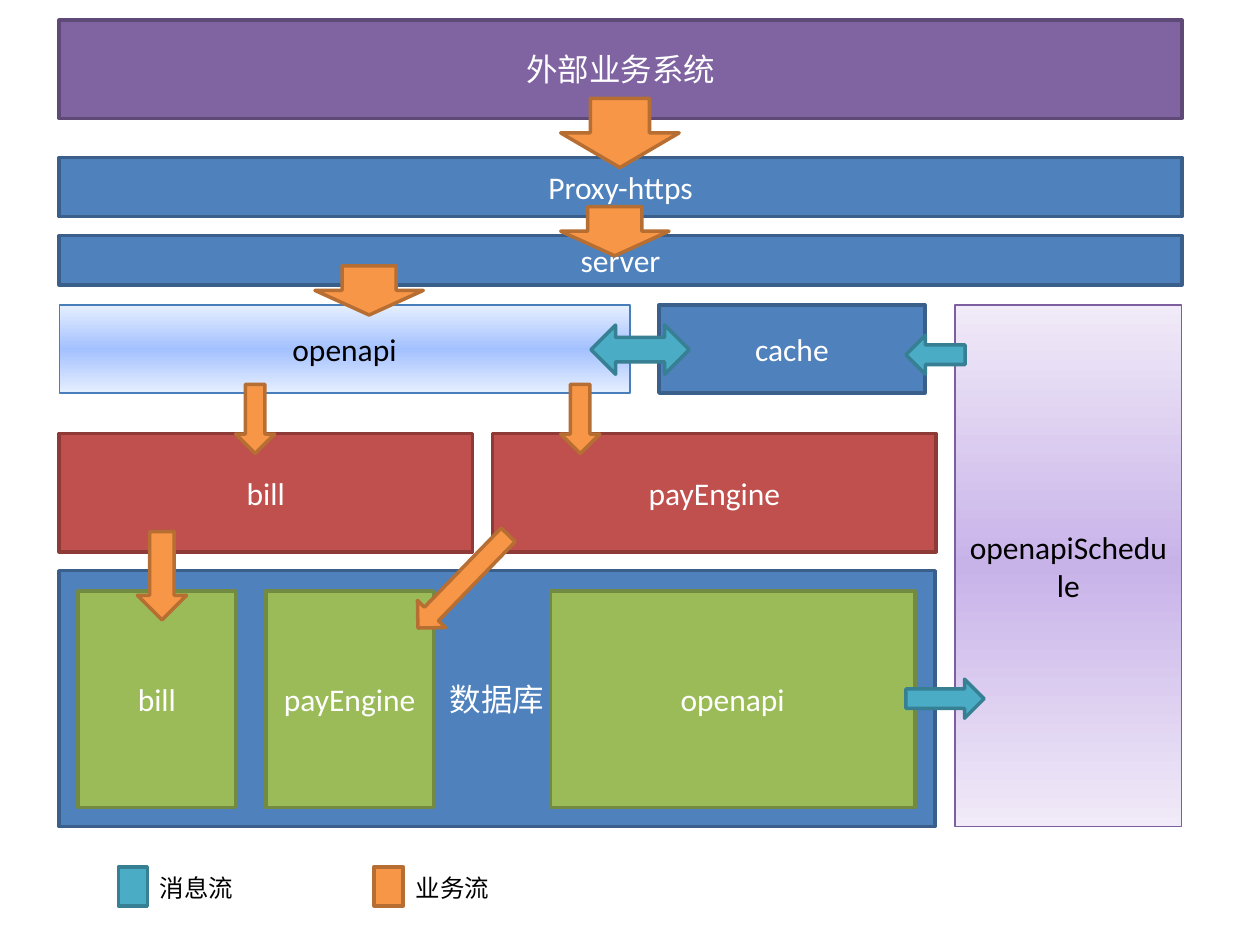
"""Build a payment platform architecture slide with message and business flows."""
from copy import deepcopy

from pptx import Presentation
from pptx.dml.color import RGBColor
from pptx.enum import shapes, text
from pptx.oxml.ns import qn
from pptx.util import Inches, Pt

WHITE = RGBColor(0xFF, 0xFF, 0xFF)
BLACK = RGBColor(0x00, 0x00, 0x00)
PURPLE = (RGBColor(0x80, 0x64, 0xA2), RGBColor(0x5E, 0x49, 0x77))
BLUE = (RGBColor(0x4F, 0x81, 0xBD), RGBColor(0x3A, 0x5F, 0x8B))
RED = (RGBColor(0xC0, 0x50, 0x4D), RGBColor(0x8E, 0x3B, 0x38))
GREEN = (RGBColor(0x9B, 0xBB, 0x59), RGBColor(0x72, 0x8A, 0x41))
TEAL = (RGBColor(0x4B, 0xAC, 0xC6), RGBColor(0x37, 0x7F, 0x92))
ORANGE = (RGBColor(0xF7, 0x96, 0x46), RGBColor(0xB6, 0x6E, 0x33))
PALE_BLUE = (RGBColor(0xE5, 0xEF, 0xFF), RGBColor(0xA4, 0xC1, 0xFF), RGBColor(0x4A, 0x7E, 0xBB))
PALE_PURPLE = (RGBColor(0xF1, 0xEA, 0xF8), RGBColor(0xC8, 0xB3, 0xE9), RGBColor(0x7D, 0x5F, 0xA0))

RECT = shapes.MSO_SHAPE.RECTANGLE
DOWN = shapes.MSO_SHAPE.DOWN_ARROW
RIGHT = shapes.MSO_SHAPE.RIGHT_ARROW
BOTH_WAYS = shapes.MSO_SHAPE.LEFT_RIGHT_ARROW

deck = Presentation()
deck.slide_width, deck.slide_height = Inches(10), Inches(7.5)
page = deck.slides.add_slide(deck.slide_layouts[6])


def add_block(kind, bounds, colors):
    block = page.shapes.add_shape(kind, *map(Inches, bounds))
    block.shadow.inherit = False
    block.line.color.rgb = colors[-1]
    if len(colors) == 2:
        block.fill.solid()
        block.fill.fore_color.rgb = colors[0]
        block.line.width = Pt(2)
        return block
    block.line.width = Pt(0.75)
    block.fill.gradient()
    block.fill.gradient_angle = 90
    first, last = block.fill.gradient_stops
    first.position, last.position = 0, 1
    first.color.rgb, last.color.rgb = colors[:2]
    stops = block.element.spPr.find(qn("a:gradFill")).find(qn("a:gsLst"))
    edge = deepcopy(stops[0])
    edge.set("pos", "100000")
    stops[1].set("pos", "50000")
    stops.append(edge)
    return block


def write_label(box, label, size, color, align):
    box.text_frame.word_wrap = True
    para = box.text_frame.paragraphs[0]
    para.text = label
    para.alignment = align
    para.font.name = "Calibri"
    para.font.size = Pt(size)
    para.font.color.rgb = color


components = [
    ("外部业务系统", (0.47, 0.16, 8.91, 0.78), PURPLE),
    ("Proxy-https", (0.47, 1.25, 8.91, 0.47), BLUE),
    ("server", (0.47, 1.87, 8.91, 0.39), BLUE),
    ("openapi", (0.47, 2.42, 4.53, 0.7), PALE_BLUE),
    ("cache", (5.23, 2.42, 2.11, 0.7), BLUE),
    ("openapiSchedule", (7.58, 2.42, 1.8, 4.14), PALE_PURPLE),
    ("bill", (0.47, 3.44, 3.28, 0.94), RED),
    ("payEngine", (3.91, 3.44, 3.52, 0.94), RED),
    ("数据库", (0.47, 4.53, 6.95, 2.03), BLUE),
    ("bill", (0.62, 4.69, 1.25, 1.72), GREEN),
    ("payEngine", (2.11, 4.69, 1.33, 1.72), GREEN),
    ("openapi", (4.37, 4.69, 2.89, 1.72), GREEN),
]
for label, bounds, colors in components:
    box = add_block(RECT, bounds, colors)
    box.text_frame.vertical_anchor = text.MSO_ANCHOR.MIDDLE
    color = WHITE if len(colors) == 2 else BLACK
    write_label(box, label, 18, color, text.PP_ALIGN.CENTER)

arrows = [
    (DOWN, (4.45, 0.78, 0.94, 0.55), ORANGE, 0),
    (DOWN, (4.45, 1.64, 0.86, 0.39), ORANGE, 0),
    (DOWN, (2.5, 2.11, 0.86, 0.39), ORANGE, 0),
    (DOWN, (1.87, 3.05, 0.31, 0.55), ORANGE, 0),
    (DOWN, (4.45, 3.05, 0.31, 0.55), ORANGE, 0),
    (DOWN, (1.09, 4.22, 0.39, 0.7), ORANGE, 0),
    (DOWN, (3.52, 4.1, 0.31, 1.03), ORANGE, 44.1),
    (RIGHT, (7.19, 2.66, 0.47, 0.31), TEAL, 180),
    (RIGHT, (7.19, 5.39, 0.62, 0.31), TEAL, 0),
    (BOTH_WAYS, (4.69, 2.58, 0.78, 0.39), TEAL, 0),
]
for kind, bounds, colors, angle in arrows:
    add_block(kind, bounds, colors).rotation = angle

for label, left, colors in [("消息流", 0.94, TEAL), ("业务流", 2.97, ORANGE)]:
    add_block(RECT, (left, 6.88, 0.23, 0.31), colors)
    caption = page.shapes.add_textbox(Inches(left + 0.23), Inches(6.88), Inches(0.94), Inches(0.33))
    write_label(caption, label, 14, BLACK, text.PP_ALIGN.LEFT)

deck.save("out.pptx")
